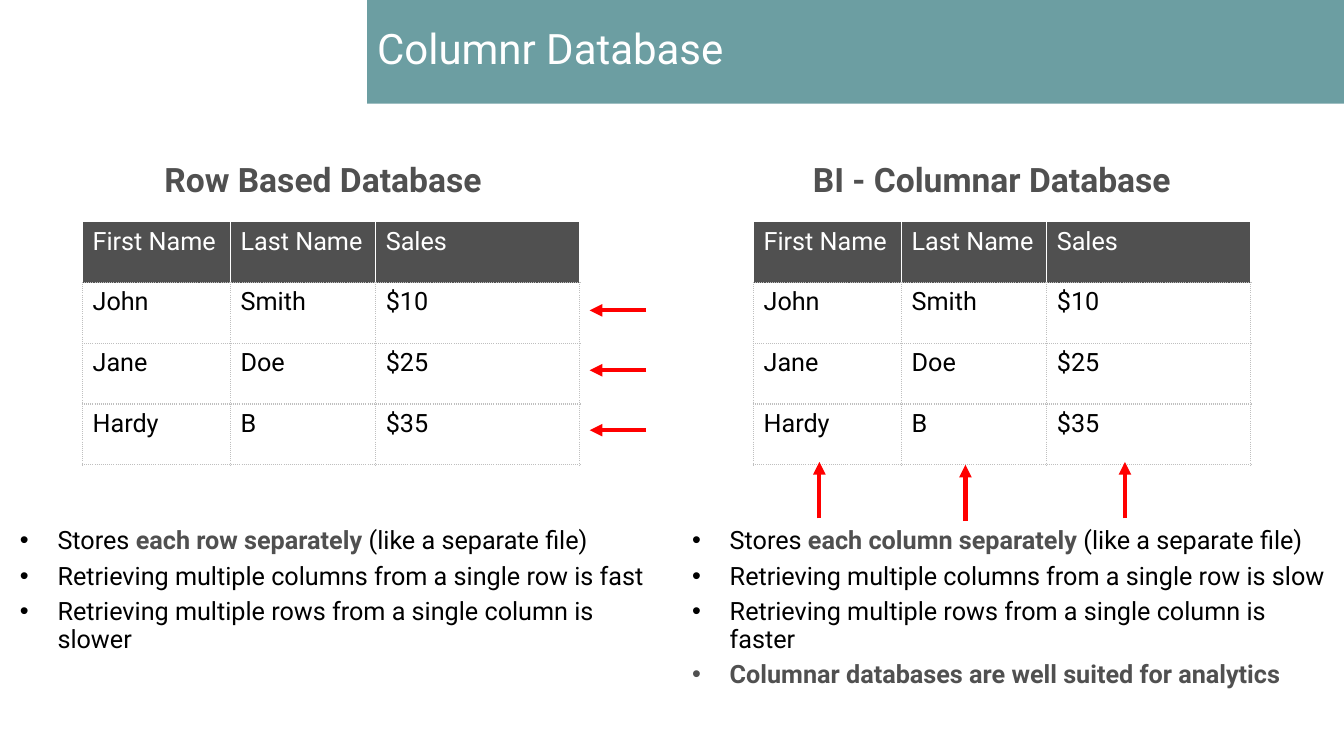
from lxml.etree import SubElement
from pptx import Presentation
from pptx.dml.color import RGBColor
from pptx.enum.shapes import MSO_CONNECTOR
from pptx.enum.text import MSO_ANCHOR, MSO_AUTO_SIZE, PP_ALIGN
from pptx.oxml import parse_xml
from pptx.oxml.ns import nsdecls, qn
from pptx.util import Cm, Pt

COLORS = {"teal": "6C9EA2", "gray": "505050", "white": "FFFFFF",
          "black": "000000", "border": "BFBFBF", "red": "FF0000"}
FONT = "Roboto"

TITLE = "Columnr Database"
TABLE_ROWS = [
    ("First Name", "Last Name", "Sales"),
    ("John", "Smith", "$10"),
    ("Jane", "Doe", "$25"),
    ("Hardy", "B", "$35"),
]
# Each bullet is a list of (text, emphasized) spans.
SIDES = [
    {
        "heading": "Row Based Database",
        "heading_area": (0, 3.73, 16.28, 1.75),
        "table_left": 2.08,
        "list_area": (0, 12.9, 17.07, 4.01),
        "bullets": [
            [("Stores ", False), ("each row separately ", True),
             ("(like a separate file)", False)],
            [("Retrieving multiple columns from a single row is fast", False)],
            [("Retrieving multiple rows from a single column is slower", False)],
        ],
    },
    {
        "heading": "BI - Columnar Database",
        "heading_area": (18.52, 3.73, 12.95, 1.75),
        "table_left": 18.99,
        "list_area": (16.94, 12.9, 17.07, 4.93),
        "bullets": [
            [("Stores ", False), ("each column separately ", True),
             ("(like a separate file)", False)],
            [("Retrieving multiple columns from a single row is slow", False)],
            [("Retrieving multiple rows from a single column is faster", False)],
            [("Columnar databases are well suited for analytics", True)],
        ],
    },
]
TABLE_TOP = 5.59
COLUMN_WIDTHS = (3.73, 3.66, 5.13)
ROW_HEIGHT = 1.53
ARROW_LENGTH = 1.42
ROW_ARROW_TAIL, ROW_ARROW_TOP, ROW_ARROW_STEP = 16.28, 7.82, 1.51
COLUMN_ARROW_TAILS = [(20.65, 13.06), (24.33, 13.13), (28.35, 13.06)]


def rgb(name):
    return RGBColor.from_string(COLORS[name])


def add_span(para, text, size=18, color="black", bold=False):
    span = para.add_run()
    span.text = text
    span.font.name = FONT
    span.font.size = Pt(size)
    span.font.bold = bold
    span.font.color.rgb = rgb(color)


def place(box, area):
    box.left, box.top, box.width, box.height = map(Cm, area)


def prepare_text_box(box, area):
    place(box, area)
    frame = box.text_frame
    frame.margin_left = frame.margin_right = Cm(0.5)
    frame.margin_top = frame.margin_bottom = Cm(0.4)
    frame.word_wrap = True
    frame.auto_size = MSO_AUTO_SIZE.SHAPE_TO_FIT_TEXT
    frame.vertical_anchor = MSO_ANCHOR.TOP
    return frame


def set_spacing(para):
    para.line_spacing = 0.9
    para.space_before = Pt(0)
    para.space_after = Pt(6)


def add_title(box):
    place(box, (9.25, -0.03, 24.64, 2.64))
    box.fill.solid()
    box.fill.fore_color.rgb = rgb("teal")
    frame = box.text_frame
    frame.vertical_anchor = MSO_ANCHOR.MIDDLE
    frame.auto_size = MSO_AUTO_SIZE.NONE
    para = frame.paragraphs[0]
    para.alignment = PP_ALIGN.LEFT
    para.line_spacing = 0.9
    add_span(para, TITLE, size=30, color="white")


def add_heading(box, text, area):
    para = prepare_text_box(box, area).paragraphs[0]
    para.alignment = PP_ALIGN.CENTER
    set_spacing(para)
    add_span(para, text, size=24, color="gray", bold=True)


def add_bullets(box, bullets, area):
    frame = prepare_text_box(box, area)
    for index, spans in enumerate(bullets):
        para = frame.add_paragraph() if index else frame.paragraphs[0]
        set_spacing(para)
        properties = para._p.get_or_add_pPr()
        properties.set("marL", str(Cm(0.95)))
        properties.set("indent", str(-Cm(0.95)))
        SubElement(properties, qn("a:buFont")).set("typeface", "Arial")
        SubElement(properties, qn("a:buChar")).set("char", "•")
        for text, emphasized in spans:
            add_span(para, text, color="gray" if emphasized else "black",
                     bold=emphasized)


def set_borders(cell, is_header):
    for position, side in enumerate("LRTB"):
        solid = is_header and side != "B"
        color = COLORS["white" if solid else "border"]
        dash = "solid" if solid else "sysDot"
        cell._tc.get_or_add_tcPr().insert(position, parse_xml(
            f'<a:ln{side} {nsdecls("a")} w="{Pt(1)}"><a:solidFill>'
            f'<a:srgbClr val="{color}"/></a:solidFill>'
            f'<a:prstDash val="{dash}"/></a:ln{side}>'))


def add_people_table(page, left):
    table = page.shapes.add_table(
        len(TABLE_ROWS), len(COLUMN_WIDTHS), Cm(left), Cm(TABLE_TOP),
        Cm(sum(COLUMN_WIDTHS)), Cm(ROW_HEIGHT * len(TABLE_ROWS))).table
    table.horz_banding = False
    for column, width in zip(table.columns, COLUMN_WIDTHS):
        column.width = Cm(width)
    for row_index, values in enumerate(TABLE_ROWS):
        is_header = row_index == 0
        for column_index, value in enumerate(values):
            cell = table.cell(row_index, column_index)
            cell.fill.solid()
            cell.fill.fore_color.rgb = rgb("gray" if is_header else "white")
            set_borders(cell, is_header)
            add_span(cell.text_frame.paragraphs[0], value,
                     color="white" if is_header else "black")


def add_arrow(page, x, y, dx=0, dy=0):
    arrow = page.shapes.add_connector(
        MSO_CONNECTOR.STRAIGHT, Cm(x), Cm(y), Cm(x + dx), Cm(y + dy))
    arrow.line.color.rgb = rgb("red")
    arrow.line.width = Pt(3)
    SubElement(arrow.line._get_or_add_ln(), qn("a:tailEnd")).set("type", "triangle")
    SubElement(arrow._element.spPr, qn("a:effectLst"))


def main():
    deck = Presentation()
    deck.slide_width, deck.slide_height = Cm(33.87), Cm(19.05)
    page = deck.slides.add_slide(deck.slide_layouts.get_by_name("Comparison"))
    title, *boxes = page.placeholders
    add_title(title)
    for side, heading, body in zip(SIDES, boxes[::2], boxes[1::2]):
        add_heading(heading, side["heading"], side["heading_area"])
        add_bullets(body, side["bullets"], side["list_area"])
        add_people_table(page, side["table_left"])
    for index in range(len(TABLE_ROWS) - 1):
        add_arrow(page, ROW_ARROW_TAIL, ROW_ARROW_TOP + index * ROW_ARROW_STEP,
                  dx=-ARROW_LENGTH)
    for x, y in COLUMN_ARROW_TAILS:
        add_arrow(page, x, y, dy=-ARROW_LENGTH)
    deck.save("out.pptx")


if __name__ == "__main__":
    main()
